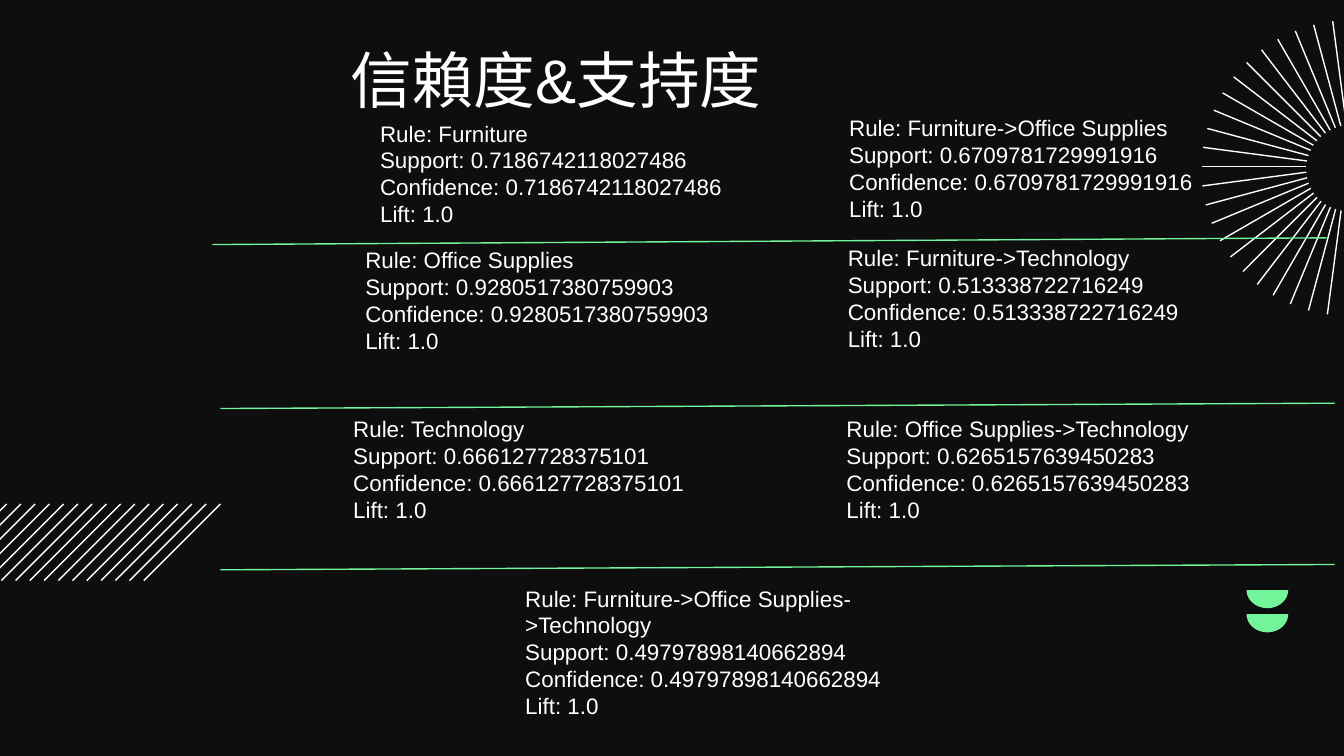
from dataclasses import dataclass
from math import cos, pi, radians, sin

from lxml.etree import SubElement
from pptx import Presentation
from pptx.dml.color import RGBColor
from pptx.enum.shapes import MSO_CONNECTOR as Connector
from pptx.enum.text import MSO_ANCHOR as Anchor, PP_ALIGN as Align
from pptx.oxml.ns import qn
from pptx.slide import Slide
from pptx.util import Inches, Pt

SLIDE_WIDTH = 10
SLIDE_HEIGHT = SLIDE_WIDTH * 9 / 16
BACKGROUND, WHITE, GREEN = "0E0E0E", "FFFFFF", "72F49A"
FONT = "Arial"
LINE_HEIGHT = 0.2


@dataclass
class RuleCard:
    left: float
    top: float
    rule: str
    value: str
    raised_lines: int  # how many line heights the text is lifted by


@dataclass
class Divider:
    left: float
    start_y: float
    end_y: float


CARDS = [
    RuleCard(2.73, 0.98, "Furniture", "0.7186742118027486", 1),
    RuleCard(2.62, 1.92, "Office Supplies", "0.9280517380759903", 1),
    RuleCard(2.53, 3.28, "Technology", "0.666127728375101", 2),
    RuleCard(6.22, 0.94, "Furniture->Office Supplies", "0.6709781729991916", 1),
    RuleCard(6.21, 2.01, "Furniture->Technology", "0.513338722716249", 2),
    RuleCard(6.2, 3.28, "Office Supplies->Technology", "0.6265157639450283", 2),
    RuleCard(3.81, 4.64, "Furniture->Office Supplies->Technology",
             "0.49797898140662894", 2),
]
DIVIDERS = [
    Divider(1.58, 1.82, 1.77),
    Divider(1.64, 3.04, 3.0),
    Divider(1.64, 4.24, 4.2),
]


def color(hex_value: str) -> RGBColor:
    return RGBColor.from_string(hex_value)


def add_line(slide: Slide, x1: float, y1: float, x2: float, y2: float,
             line_color: str) -> None:
    line = slide.shapes.add_connector(
        Connector.STRAIGHT, Inches(x1), Inches(y1), Inches(x2), Inches(y2))
    line.line.color.rgb = color(line_color)
    line.line.width = Pt(0.75)
    SubElement(line._element.spPr, qn("a:effectLst"))


def add_text(slide: Slide, text: str, *, left: float, top: float, width: float,
             size: float, align: Align = Align.LEFT, inset_left: float = 0.1,
             inset_bottom: float = 0.1) -> None:
    box = slide.shapes.add_textbox(
        Inches(left), Inches(top), Inches(width), Inches(0.92))
    frame = box.text_frame
    frame.word_wrap = True
    frame.vertical_anchor = Anchor.MIDDLE
    frame.margin_left, frame.margin_right = Inches(inset_left), Inches(0.1)
    frame.margin_top, frame.margin_bottom = Inches(0), Inches(inset_bottom)
    frame.text = text
    for paragraph in frame.paragraphs:
        paragraph.alignment = align
        font = paragraph.runs[0].font
        font.name, font.size = FONT, Pt(size)
        font.color.rgb = color(WHITE)


def add_bowl(slide: Slide, center_x: float, top: float) -> None:
    steps = 24
    points = [(Inches(center_x + 0.155 * cos(pi * step / steps)),
               Inches(top + 0.135 * sin(pi * step / steps)))
              for step in range(steps + 1)]
    builder = slide.shapes.build_freeform(*points[0])
    builder.add_line_segments(points[1:], close=True)
    bowl = builder.convert_to_shape()
    bowl.shadow.inherit = False
    bowl.fill.solid()
    bowl.fill.fore_color.rgb = color(GREEN)
    bowl.line.fill.background()


def add_sunburst(slide: Slide) -> None:
    inner, outer = 0.32, 1.1
    for index in range(-11, 12):
        angle = radians(7.5 * index)
        center_x = 10.04 + 0.02 * sin(angle)
        center_y = 1.25 - 0.01 * cos(angle)
        add_line(slide,
                 center_x - outer * cos(angle), center_y - outer * sin(angle),
                 center_x - inner * cos(angle), center_y - inner * sin(angle),
                 WHITE)


def add_hatching(slide: Slide) -> None:
    count, first, last = 16, 1.64, 0.05
    gap = (first - last) / (count - 1)
    for index in range(count):
        x = first - index * gap
        add_line(slide, x, 3.75, x - 0.57, 4.32, WHITE)


def add_card(slide: Slide, card: RuleCard) -> None:
    lines = [f"Rule: {card.rule}", f"Support: {card.value}",
             f"Confidence: {card.value}", "Lift: 1.0"]
    add_text(slide, "\n".join(lines), left=card.left, top=card.top, width=3.24,
             size=12, inset_bottom=0.1 + card.raised_lines * LINE_HEIGHT)


def main() -> None:
    presentation = Presentation()
    presentation.slide_width = Inches(SLIDE_WIDTH)
    presentation.slide_height = Inches(SLIDE_HEIGHT)
    slide = presentation.slides.add_slide(presentation.slide_layouts[6])
    slide.background.fill.solid()
    slide.background.fill.fore_color.rgb = color(BACKGROUND)

    # Decoration
    for top in (4.57, 4.39):
        add_bowl(slide, 9.43, top)
    add_sunburst(slide)
    add_hatching(slide)

    # Dividers between the rows
    for divider in DIVIDERS:
        add_line(slide, divider.left, divider.start_y,
                 divider.left + 8.29, divider.end_y, GREEN)

    # Association rules and title
    for card in CARDS:
        add_card(slide, card)
    add_text(slide, "信賴度&支持度", left=0.69, top=0.18, width=6.79, size=33,
             align=Align.CENTER, inset_left=0.2)

    presentation.save("out.pptx")


if __name__ == "__main__":
    main()
